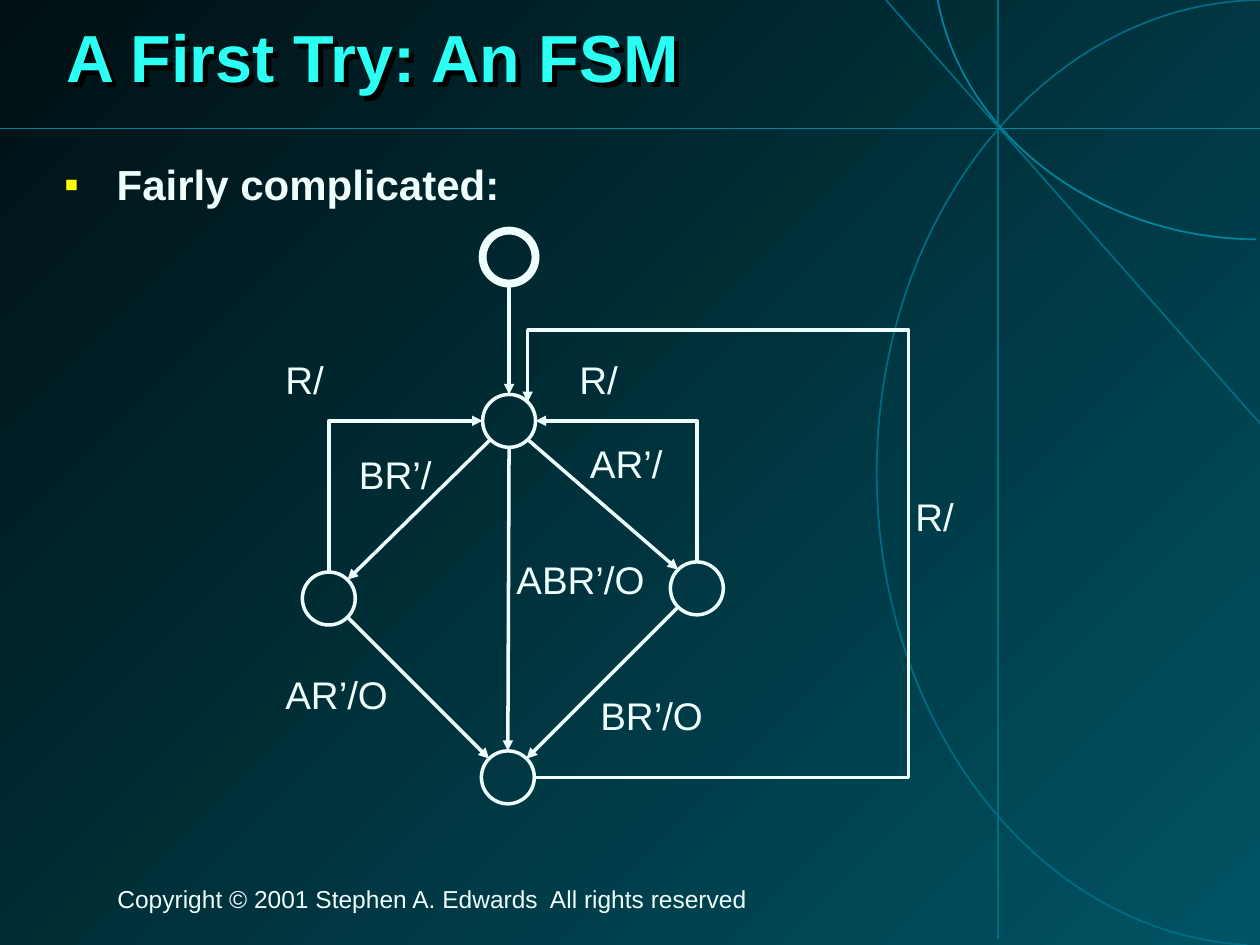
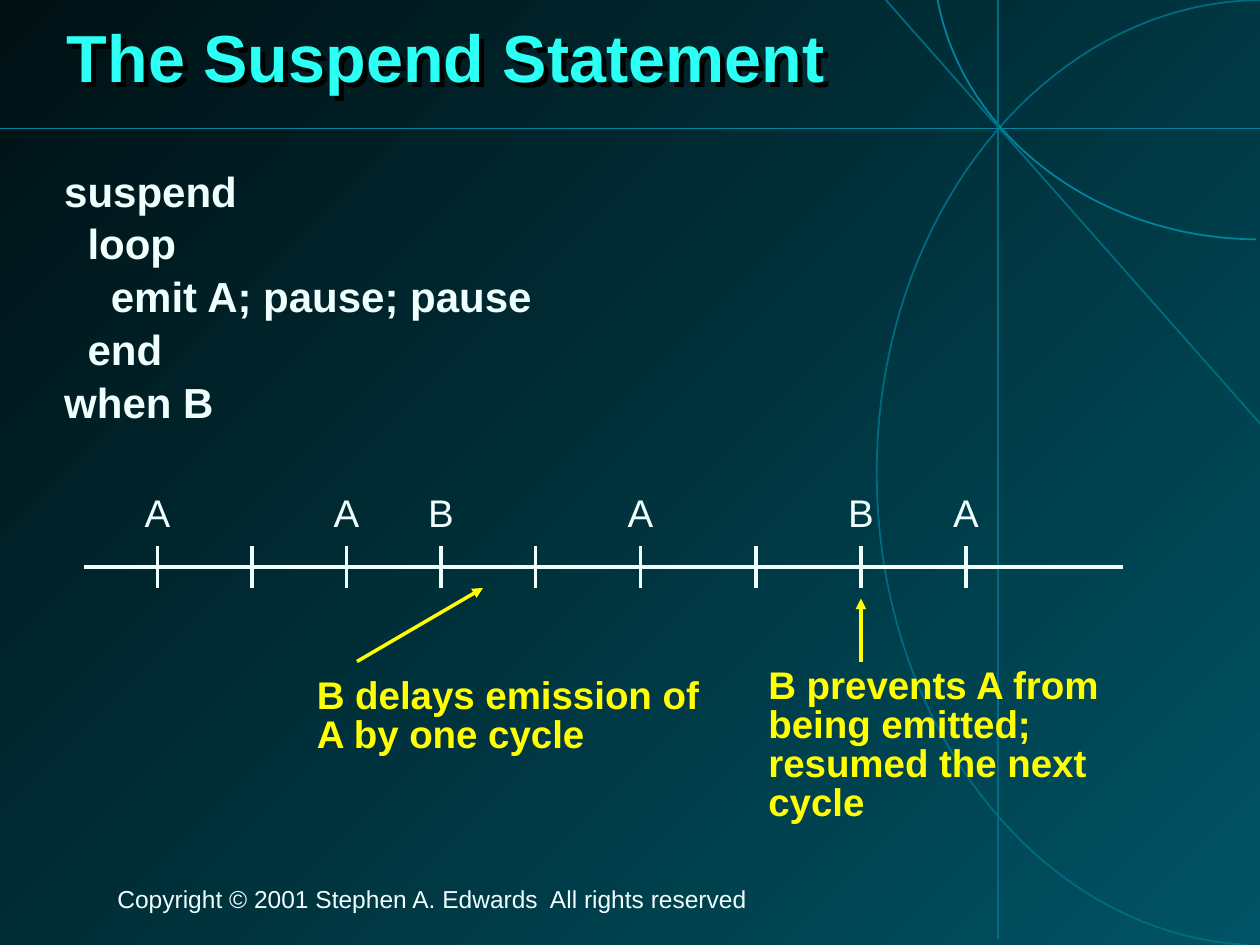
from math import cos, radians, sin

from lxml import etree
from pptx import Presentation
from pptx.dml.color import RGBColor
from pptx.enum.shapes import MSO_CONNECTOR, MSO_SHAPE
from pptx.enum.text import MSO_ANCHOR, MSO_AUTO_SIZE, PP_ALIGN
from pptx.oxml.ns import qn
from pptx.util import Pt

STRAIGHT, ELBOW = MSO_CONNECTOR.STRAIGHT, MSO_CONNECTOR.ELBOW
OVAL = MSO_SHAPE.OVAL
LEFT, CENTER = PP_ALIGN.LEFT, PP_ALIGN.CENTER
MIDDLE = MSO_ANCHOR.MIDDLE
NO_AUTOFIT = MSO_AUTO_SIZE.NONE

COLORS = {
    "glow": "005364",
    "night": "001013",
    "faint_arc": "006C82",
    "bright_arc": "0085A0",
    "title": "2CFFF3",
    "text": "EFFFFD",
    "accent": "FFFF00",
    "shadow": "000000",
}
FONT = "Arial"
WIDTH, HEIGHT = 720, 540
TITLE_BOX = (31, 0, 663, 70.5)
BODY_BOX = (29.5, 89.3, 657, 402.5)
FOOTER_BOX = (60, 504, 582, 22)
HANGING = 30
TOP, TOP_LEFT, SIDE_LEFT, BOTTOM_LEFT, BOTTOM, BOTTOM_RIGHT, SIDE_RIGHT, TOP_RIGHT = range(8)
STATE_RADIUS = 15.12


def rgb(color):
    return RGBColor.from_string(COLORS[color])


def pts(*lengths):
    return [Pt(length) for length in lengths]


def add_child(parent, tag, **attributes):
    child = etree.SubElement(parent, qn(tag))
    for key, value in attributes.items():
        child.set(key, str(value))
    return child


def style_paragraph(paragraph, size, color="text", bold=False, spacing=None, align=LEFT):
    paragraph.alignment = align
    paragraph.space_before = Pt(0)
    if spacing:
        paragraph.line_spacing = spacing
    font = paragraph.font
    font.name, font.size, font.bold = FONT, Pt(size), bold
    font.color.rgb = rgb(color)


def add_label(slide, box, text, size=22, **style):
    label = slide.shapes.add_textbox(*pts(*box))
    label.text_frame.word_wrap = True
    label.text_frame.text = text
    style_paragraph(label.text_frame.paragraphs[0], size, **style)
    return label


def style_line(connector, color, width, arrow):
    connector.line.color.rgb = rgb(color)
    connector.line.width = Pt(width)
    if arrow:
        add_child(connector.line._get_or_add_ln(), "a:tailEnd", type="triangle")
    add_child(connector.element.spPr, "a:effectLst")


def add_line(slide, start, end, color="text", width=2, arrow=False, kind=STRAIGHT):
    connector = slide.shapes.add_connector(kind, *pts(*start, *end))
    style_line(connector, color, width, arrow)
    return connector


def add_arc(slide, start, curves, color):
    points, current = [], start
    for first, second, end in curves:
        for step in range(1, 41):
            t = step / 40
            points.append(tuple(
                Pt((1 - t) ** 3 * a + 3 * t * (1 - t) ** 2 * b + 3 * t * t * (1 - t) * c + t ** 3 * d)
                for a, b, c, d in zip(current, first, second, end)
            ))
        current = end
    builder = slide.shapes.build_freeform(*pts(*start))
    builder.add_line_segments(points, close=False)
    arc = builder.convert_to_shape()
    arc.fill.background()
    arc.line.color.rgb = rgb(color)
    arc.line.width = Pt(1)
    arc.shadow.inherit = False
    return arc


def decorate_master(master, slide):
    fill = master.background.fill
    fill.gradient()
    fill.gradient_angle = 135
    for stop, color in zip(fill.gradient_stops, ("glow", "night")):
        stop.color.rgb = rgb(color)

    decorations = [
        add_arc(slide, (712.8, 540), [
            ((591.8, 533.5), (497.5, 409.7), (501.1, 262.1)),
            ((504.7, 114.5), (604.8, -2.2), (725.8, 0)),
        ], "faint_arc"),
        add_arc(slide, (717.8, 136.8), [
            ((627.1, 136.1), (550.1, 77.8), (535.7, -0.7)),
        ], "bright_arc"),
        add_line(slide, (WIDTH, 242), (506.2, 0), "faint_arc", 1),
        add_line(slide, (570.3, 0), (570.3, 536.4), "faint_arc", 1),
        add_line(slide, (0, 73.4), (WIDTH, 73.4), "bright_arc", 1),
        add_label(slide, FOOTER_BOX, "Copyright © 2001 Stephen A. Edwards  All rights reserved",
                  size=14, spacing=0.85),
    ]
    for position, decoration in enumerate(decorations):
        decoration.element.xpath(".//p:cNvPr")[0].set("id", str(100 + position))
        master.shapes.element.insert(2 + position, decoration.element)


def place(placeholder, box):
    placeholder.left, placeholder.top, placeholder.width, placeholder.height = pts(*box)
    placeholder.text_frame.auto_size = NO_AUTOFIT


def fill_title(slide, text):
    title = slide.shapes.title
    place(title, TITLE_BOX)
    title.text_frame.text = text
    title.text_frame.vertical_anchor = MIDDLE
    style_paragraph(title.text_frame.paragraphs[0], 38, "title", True, 0.87)
    effects = add_child(title.element.spPr, "a:effectLst")
    shadow = add_child(effects, "a:outerShdw", dist=Pt(4), dir=2700000, algn="ctr", rotWithShape=0)
    add_child(shadow, "a:srgbClr", val=COLORS["shadow"])


def fill_body(slide, lines, spacing, bullet=None):
    body = slide.placeholders[1]
    place(body, BODY_BOX)
    body.text_frame.text = "\n".join(lines)
    for paragraph in body.text_frame.paragraphs:
        properties = paragraph._p.get_or_add_pPr()
        properties.set("marL", str(Pt(HANGING)))
        properties.set("indent", str(-Pt(HANGING)))
        if bullet:
            bullet_color = add_child(properties, "a:buClr")
            add_child(bullet_color, "a:srgbClr", val=COLORS["accent"])
            add_child(properties, "a:buChar", char=bullet)
        else:
            add_child(properties, "a:buNone")
        style_paragraph(paragraph, 24, bold=True, spacing=spacing)


def add_state(slide, center, line_width=2):
    x, y = center
    diameter = 2 * STATE_RADIUS
    state = slide.shapes.add_shape(
        OVAL, *pts(x - STATE_RADIUS, y - STATE_RADIUS, diameter, diameter))
    state.fill.background()
    state.line.color.rgb = rgb("text")
    state.line.width = Pt(line_width)
    state.shadow.inherit = False
    return state


def site_point(center, site):
    angle = radians(90 + 45 * site)
    return center[0] + STATE_RADIUS * cos(angle), center[1] - STATE_RADIUS * sin(angle)


def glue(connector, source, source_site, target, target_site):
    ends = connector.element.nvCxnSpPr.cNvCxnSpPr
    add_child(ends, "a:stCxn", id=source.shape_id, idx=source_site)
    add_child(ends, "a:endCxn", id=target.shape_id, idx=target_site)


def add_corner(slide, start, end):
    mid_x, mid_y = (start[0] + end[0]) / 2, (start[1] + end[1]) / 2
    half_width, half_height = abs(start[1] - end[1]) / 2, abs(start[0] - end[0]) / 2
    toward = 1 if end[0] > start[0] else -1
    connector = add_line(
        slide,
        (mid_x + toward * half_width, mid_y + half_height),
        (mid_x - toward * half_width, mid_y - half_height),
        arrow=True, kind=ELBOW)
    connector.element.spPr.xfrm.rot = 90 if toward > 0 else 270
    connector.element.spPr.find(qn("a:prstGeom")).set("prst", "bentConnector2")
    return connector


def add_loop(slide, start, end, corner):
    connector = add_line(slide, start, end, arrow=True, kind=ELBOW)
    geometry = connector.element.spPr.find(qn("a:prstGeom"))
    geometry.set("prst", "bentConnector4")
    guides = geometry.find(qn("a:avLst"))
    if guides is None:
        guides = add_child(geometry, "a:avLst")
    for number, (begin, finish, turn) in enumerate(zip(start, end, corner), 1):
        ratio = round((begin - turn) / (begin - finish) * 100000)
        add_child(guides, "a:gd", name=f"adj{number}", fmla=f"val {ratio}")
    return connector


def draw_state_machine(slide, left, top):
    centers = {
        "start": (134.9, 14.9),
        "idle": (134.9, 108.5),
        "got_a": (242.2, 204.2),
        "got_b": (31.9, 210),
        "done": (134.2, 312.2),
    }
    centers = {name: (left + x, top + y) for name, (x, y) in centers.items()}
    states = {name: add_state(slide, center, 4.5 if name == "start" else 2)
              for name, center in centers.items()}

    transitions = [
        ("start", BOTTOM, "idle", TOP),
        ("idle", BOTTOM_LEFT, "got_b", TOP_RIGHT),
        ("idle", BOTTOM_RIGHT, "got_a", TOP_LEFT),
        ("got_b", BOTTOM_RIGHT, "done", TOP_LEFT),
        ("got_a", BOTTOM_LEFT, "done", TOP_RIGHT),
        ("idle", BOTTOM, "done", TOP),
        ("got_b", TOP, "idle", SIDE_LEFT),
        ("got_a", TOP, "idle", SIDE_RIGHT),
        ("done", SIDE_RIGHT, "idle", TOP_RIGHT),
    ]
    for source, source_site, target, target_site in transitions:
        start = site_point(centers[source], source_site)
        end = site_point(centers[target], target_site)
        if source == "done":
            transition = add_loop(slide, start, end, (left + 362.4, top + 56.6))
        elif source_site == TOP:
            transition = add_corner(slide, start, end)
        else:
            transition = add_line(slide, start, end, arrow=True)
        glue(transition, states[source], source_site, states[target], target_site)

    conditions = [
        ("R/", 0, 72), ("R/", 168, 72), ("R/", 360, 150),
        ("AR’/", 174, 120), ("BR’/", 42, 126), ("ABR’/O", 132, 186),
        ("BR’/O", 180, 264), ("AR’/O", 0, 252),
    ]
    for condition, x, y in conditions:
        add_label(slide, (left + x, top + y, 90, 30), condition, spacing=0.85)


def draw_timeline(slide, left, top, width):
    axis = top + 48
    add_line(slide, (left, axis), (left + width, axis))
    ticks = zip((42, 96, 150, 204, 258, 318, 384, 444, 504),
                ("A", "", "A", "B", "", "A", "", "B", "A"))
    for offset, signal in ticks:
        x = left + offset
        add_line(slide, (x, axis - 12), (x, axis + 12))
        if signal:
            add_label(slide, (x - 18, top, 36, 34), signal, align=CENTER)

    remarks = [
        ("B delays emission of A by one cycle", (126, 108, 246, 52), (156, 102), (228, 60)),
        ("B prevents A from being emitted; resumed the next cycle", (384, 102, 246, 97),
         (444, 102), (444, 66)),
    ]
    for remark, (x, y, *size), tail, head in remarks:
        add_label(slide, (left + x, top + y, *size), remark,
                  color="accent", bold=True, spacing=0.85)
        add_line(slide, (left + tail[0], top + tail[1]), (left + head[0], top + head[1]),
                 "accent", arrow=True)


def main():
    deck = Presentation()
    deck.slide_width, deck.slide_height = pts(WIDTH, HEIGHT)
    layout = deck.slide_layouts[1]

    machine = deck.slides.add_slide(layout)
    decorate_master(deck.slide_master, machine)
    fill_title(machine, "A First Try: An FSM")
    fill_body(machine, ["Fairly complicated:"], 0.93, bullet="▪")
    draw_state_machine(machine, 156, 132)

    suspend = deck.slides.add_slide(layout)
    fill_title(suspend, "The Suspend Statement")
    fill_body(suspend, ["suspend", "  loop", "    emit A; pause; pause", "  end", "when B"], 1.05)
    draw_timeline(suspend, 48, 276, 594)

    deck.save("out.pptx")


if __name__ == "__main__":
    main()
